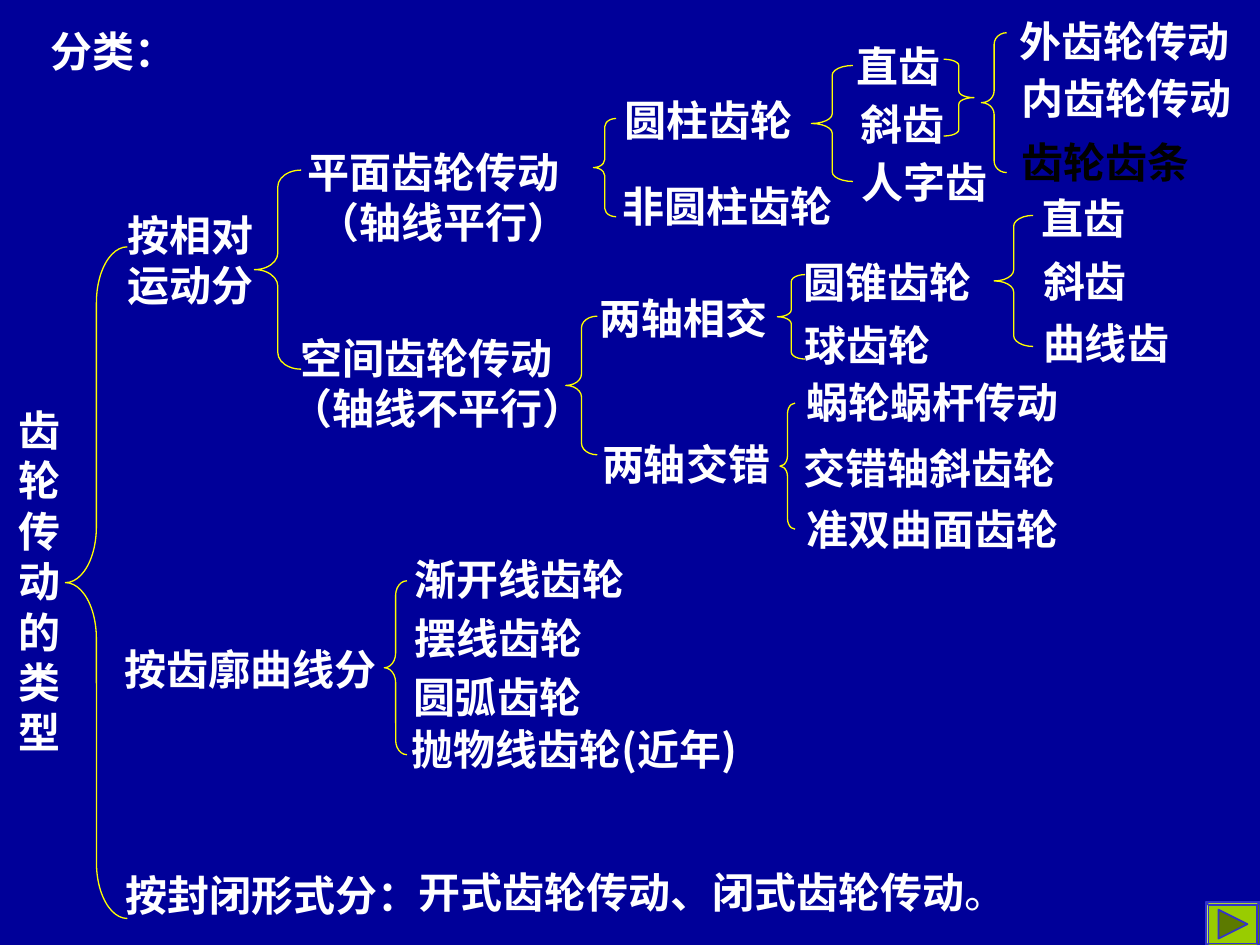
import pptx
import pptx.util
import pptx.dml.color
import pptx.enum.shapes
import pptx.enum.text
import pptx.oxml.ns
from lxml import etree

Inches = pptx.util.Inches
ALIGN = pptx.enum.text.PP_ALIGN
SHAPE = pptx.enum.shapes.MSO_SHAPE

COLORS = {"background": "000099", "text": "FFFFFF", "dark": "000000",
          "brace": "FFFF00", "button": "99CC00", "button_line": "3333CC"}
FONT = "Noto Sans CJK SC"
SLIDE_WIDTH, SLIDE_HEIGHT = 10, 7.5
LINE_HEIGHT, PADDING = 0.4, 0.1
TALL = 1.44

STYLES = {
    "plain": {"alignment": ALIGN.LEFT},
    "justified": {"alignment": ALIGN.JUSTIFY},
    "tall": {"alignment": ALIGN.JUSTIFY, "line_spacing": TALL},
    "centred": {"alignment": ALIGN.CENTER},
}

# Labels by style: text, left, top, width
LABELS = {
    "plain": [
        ("按齿廓曲线分", 0.89, 5.06, 2.8),
        ("圆柱齿轮", 4.86, 0.7, 1.63),
        ("非圆柱齿轮", 4.84, 1.38, 2.1),
        ("直齿", 6.7, 0.27, 1.1),
        ("斜齿", 6.73, 0.73, 1.1),
        ("人字齿", 6.74, 1.19, 1.47),
        ("两轴相交", 4.66, 2.27, 1.7),
        ("两轴交错", 4.68, 3.43, 1.7),
        ("圆锥齿轮", 6.28, 1.99, 1.7),
        ("球齿轮", 6.29, 2.49, 1.7),
        ("直齿", 8.17, 1.48, 1.1),
        ("斜齿", 8.18, 1.98, 1.1),
        ("曲线齿", 8.18, 2.47, 1.6),
        ("渐开线齿轮", 3.19, 4.34, 3.84),
    ],
    "justified": [
        ("蜗轮蜗杆传动", 6.3, 2.94, 2.49),
        ("摆线齿轮", 3.19, 4.81, 3.22),
        ("圆弧齿轮", 3.18, 5.28, 3.07),
        ("抛物线齿轮(近年)", 3.17, 5.69, 3.54),
        ("按封闭形式分：", 0.9, 6.85, 2.61),
    ],
    "tall": [
        ("外齿轮传动", 7.99, -0.1, 1.99),
        ("内齿轮传动", 8.01, 0.35, 1.99),
        ("交错轴斜齿轮", 6.28, 3.29, 2.67),
        ("准双曲面齿轮", 6.3, 3.77, 2.63),
    ],
}

# Braces: left, top, width, height
LEFT_BRACES = [
    (0.52, 1.96, 0.49, 5.33),
    (2.02, 1.35, 0.37, 1.58),
    (3.05, 4.61, 0.18, 1.38),
    (4.71, 0.94, 0.18, 0.78),
    (4.49, 2.51, 0.25, 1.1),
    (6.44, 0.52, 0.33, 0.92),
    (6.17, 2.18, 0.22, 0.67),
    (6.19, 3.2, 0.12, 1),
    (7.79, 0.26, 0.2, 1.11),
    (7.89, 1.71, 0.31, 1.04),
]
RIGHT_BRACES = [(7.49, 0.47, 0.24, 0.61)]
BRACE_CURVE = 1 / 12  # share of the brace's height


def rgb(name):
    return pptx.dml.color.RGBColor.from_string(COLORS[name])


def add_run(paragraph, text, color="text", bold=True):
    run = paragraph.add_run()
    run.text = text
    formats = {"name": FONT, "size": pptx.util.Pt(24), "bold": bold}
    for key, value in formats.items():
        setattr(run.font, key, value)
    run.font.color.rgb = rgb(color)
    east_asian = etree.SubElement(run.font._element, pptx.oxml.ns.qn("a:ea"))
    east_asian.set("typeface", FONT)


def add_label(slide, paragraphs, left, top, width, style="plain", lines=1,
              color="text", wrap=True, anchor=pptx.enum.text.MSO_ANCHOR.TOP):
    """Place paragraphs, each an (indent, text) pair, in one text box."""
    spacing = STYLES[style].get("line_spacing", 1)
    height = lines * LINE_HEIGHT * spacing + PADDING
    box = slide.shapes.add_textbox(*map(Inches, (left, top, width, height)))
    frame = box.text_frame
    formats = {"word_wrap": wrap, "vertical_anchor": anchor,
               "auto_size": pptx.enum.text.MSO_AUTO_SIZE.SHAPE_TO_FIT_TEXT}
    for key, value in formats.items():
        setattr(frame, key, value)
    for index, (indent, text) in enumerate(paragraphs):
        paragraph = frame.add_paragraph() if index else frame.paragraphs[0]
        for key, value in STYLES[style].items():
            setattr(paragraph, key, value)
        if indent:
            paragraph._p.get_or_add_pPr().set("marL", str(Inches(indent)))
        add_run(paragraph, text, color)
    return box


def add_brace(slide, kind, left, top, width, height):
    brace = slide.shapes.add_shape(kind, *map(Inches, (left, top, width, height)))
    brace.adjustments[0] = BRACE_CURVE * height / min(width, height)
    brace.shadow.inherit = False
    brace.fill.background()
    brace.line.color.rgb = rgb("brace")
    brace.line.width = pptx.util.Pt(0.75)


def add_next_button(slide):
    button = slide.shapes.add_shape(SHAPE.BEVEL, *map(Inches, (9.57, 7.16, 0.43, 0.35)))
    button.adjustments[0] = 0.06
    arrow = slide.shapes.add_shape(SHAPE.ISOSCELES_TRIANGLE,
                                   *map(Inches, (9.67, 7.22, 0.23, 0.23)))
    arrow.rotation = 90
    for shape in (button, arrow):
        shape.shadow.inherit = False
        shape.fill.solid()
        shape.fill.fore_color.rgb = rgb("button")
        shape.line.color.rgb = rgb("button_line")
        shape.line.width = pptx.util.Pt(1)
    arrow.fill.fore_color.brightness = -0.4


def main():
    presentation = pptx.Presentation()
    presentation.slide_width = Inches(SLIDE_WIDTH)
    presentation.slide_height = Inches(SLIDE_HEIGHT)
    slide = presentation.slides.add_slide(presentation.slide_layouts[6])
    slide.background.fill.solid()
    slide.background.fill.fore_color.rgb = rgb("background")

    for style, labels in LABELS.items():
        for text, *place in labels:
            add_label(slide, [(0, text)], *place, style=style)
    add_label(slide, [(0, "齿轮齿条")], 8.01, 0.86, 1.99, "tall", color="dark")
    add_label(slide, [(0, "分类：")], 0.3, 0.15, 1.2, "centred", wrap=False)
    add_label(slide, [(0, "齿轮传动的类型")], 0, 3.16, 0.62, "centred", lines=7,
              anchor=pptx.enum.text.MSO_ANCHOR.MIDDLE)
    add_label(slide, [(0, "按相对运动分")], 0.91, 1.61, 1.38, lines=2)
    add_label(slide, [(0, "平面齿轮传动"), (0.08, "（轴线平行）")],
              2.34, 1.11, 2.8, lines=2)
    add_label(slide, [(0.08, "空间齿轮传动"), (0, "（轴线不平行）")],
              2.21, 2.59, 2.8, lines=2)
    closing = add_label(slide, [(0, "开式齿轮传动、闭式齿轮传动")],
                        3.22, 6.83, 5.01, "justified")
    add_run(closing.text_frame.paragraphs[0], "。", bold=False)

    for place in LEFT_BRACES:
        add_brace(slide, SHAPE.LEFT_BRACE, *place)
    for place in RIGHT_BRACES:
        add_brace(slide, SHAPE.RIGHT_BRACE, *place)
    add_next_button(slide)
    presentation.save("out.pptx")


if __name__ == "__main__":
    main()
